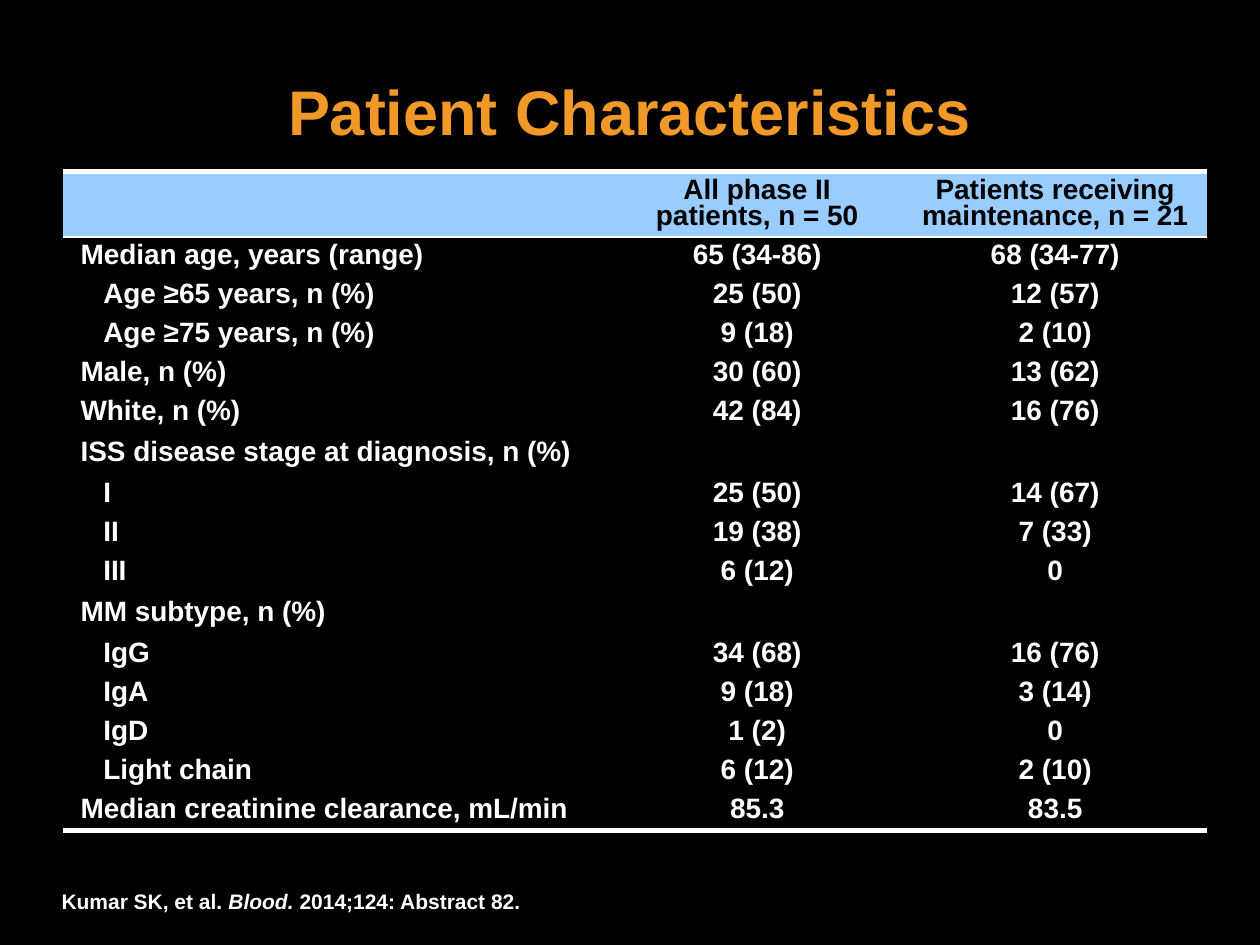
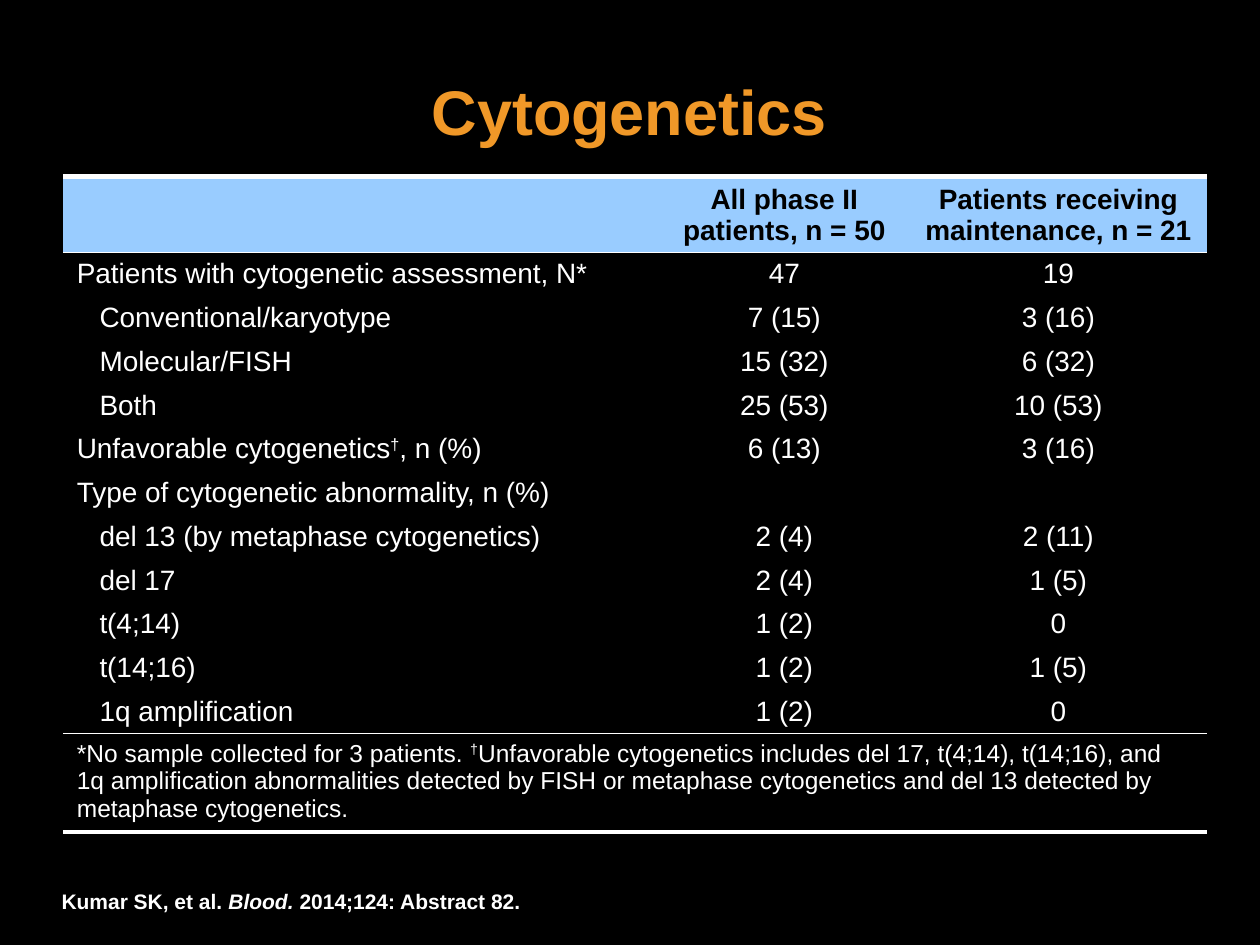
import pptx
import pptx.util
import pptx.dml.color
import pptx.enum.text
import lxml.etree

# ---- Shared content and style ----
WIDE, HIGH = 10, 7.5
FONT = "Arial"
BLACK, WHITE, GOLD, BLUE = "000000", "FFFFFF", "F09828", "99CCFF"
LEFT, INDENT = 0.5, 0.18
THICK, THIN = 3, 1
PLAIN = "{2D5ABB26-0587-4C30-8999-92F81FD0307C}"  # no style, no grid
HEADS = ("", "All phase II patients, n = 50",
         "Patients receiving maintenance, n = 21")
CITE = (("Kumar SK, et al. ", False), ("Blood. ", True),
        ("2014;124: Abstract 82.", False))

# ---- Slide content: (level, label, all patients, maintenance) ----
TRAITS = [
    (0, "Median age, years (range)", "65 (34-86)", "68 (34-77)"),
    (1, "Age ≥65 years, n (%)", "25 (50)", "12 (57)"),
    (1, "Age ≥75 years, n (%)", "9 (18)", "2 (10)"),
    (0, "Male, n (%)", "30 (60)", "13 (62)"),
    (0, "White, n (%)", "42 (84)", "16 (76)"),
    (0, "ISS disease stage at diagnosis, n (%)", "", ""),
    (1, "I", "25 (50)", "14 (67)"),
    (1, "II", "19 (38)", "7 (33)"),
    (1, "III", "6 (12)", "0"),
    (0, "MM subtype, n (%)", "", ""),
    (1, "IgG", "34 (68)", "16 (76)"),
    (1, "IgA", "9 (18)", "3 (14)"),
    (1, "IgD", "1 (2)", "0"),
    (1, "Light chain", "6 (12)", "2 (10)"),
    (0, "Median creatinine clearance, mL/min", "85.3", "83.5"),
]
GENES = [
    (0, "Patients with cytogenetic assessment, N*", "47", "19"),
    (1, "Conventional/karyotype", "7 (15)", "3 (16)"),
    (1, "Molecular/FISH", "15 (32)", "6 (32)"),
    (1, "Both", "25 (53)", "10 (53)"),
    (0, "Unfavorable cytogenetics†, n (%)", "6 (13)", "3 (16)"),
    (0, "Type of cytogenetic abnormality, n (%)", "", ""),
    (1, "del 13 (by metaphase cytogenetics)", "2 (4)", "2 (11)"),
    (1, "del 17", "2 (4)", "1 (5)"),
    (1, "t(4;14)", "1 (2)", "0"),
    (1, "t(14;16)", "1 (2)", "1 (5)"),
    (1, "1q amplification", "1 (2)", "0"),
]
NOTE = ("*No sample collected for 3 patients. †Unfavorable cytogenetics "
        "includes del 17, t(4;14), t(14;16), and 1q amplification "
        "abnormalities detected by FISH or metaphase cytogenetics and "
        "del 13 detected by metaphase cytogenetics.")
GENE_ROW = 3.82 / len(GENES)
SLIDES = [
    dict(title="Patient Characteristics", rows=TRAITS, note="", top=1.36,
         cols=(4.35, 2.32, 2.41), head=0.52, row=0.31, group=0.34,
         inset=0.14, bold=True, lead=0.85),
    dict(title="Cytogenetics", rows=GENES, note=NOTE, top=1.4,
         cols=(4.73, 1.99, 2.36), head=0.59, row=GENE_ROW, group=GENE_ROW,
         inset=0.11, bold=False, lead=1.0),
]

Inch = pptx.util.Inches
Align = pptx.enum.text.PP_ALIGN
Anchor = pptx.enum.text.MSO_ANCHOR


def hue(code):
    return pptx.dml.color.RGBColor.from_string(code)


# ---- Text helpers ----
def style(para, size, color, bold, align=Align.LEFT, lead=None):
    para.alignment = align
    if lead:
        para.line_spacing = lead
    font = para.font
    font.name, font.size, font.bold = FONT, pptx.util.Pt(size), bold
    font.color.rgb = hue(color)


def write(para, text):
    """Add text as runs, raising each dagger."""
    for num, part in enumerate(text.split("†")):
        if num:
            mark = para.add_run()
            mark.text = "†"
            mark.font._element.set("baseline", "30000")
        if part:
            para.add_run().text = part


def add_box(slide, left, top, wide, high):
    return slide.shapes.add_textbox(*map(Inch, (left, top, wide, high))).text_frame


# ---- Table helpers ----
def rule(cell, above, below):
    """Set all four sides ahead of the cell's fill; width 0 means no line."""
    props = cell._tc.get_or_add_tcPr()
    sides = {"lnL": 0, "lnR": 0, "lnT": above, "lnB": below}
    for spot, (tag, width) in enumerate(sides.items()):
        ink = (f'<a:solidFill><a:srgbClr val="{WHITE}"/></a:solidFill>'
               if width else "<a:noFill/>")
        props.insert(spot, lxml.etree.fromstring(
            f'<a:{tag} xmlns:a="http://schemas.openxmlformats.org/drawingml/2006/main"'
            f' w="{pptx.util.Pt(width)}">{ink}</a:{tag}>'))


def add_table(slide, data):
    body, note = data["rows"], data["note"]
    grid = [(0, *HEADS), *body]
    highs = [data["head"]] + [data["row"] if row[2] else data["group"] for row in body]
    if note:
        grid.append((0, note, "", ""))
        highs.append(0.76)
    count = len(grid)
    edges = {0: THICK, 1: THIN, count: THICK}
    if note:
        edges[count - 1] = THIN
    frame = slide.shapes.add_table(
        count, len(HEADS), Inch(LEFT), Inch(data["top"]),
        Inch(sum(data["cols"])), Inch(sum(highs)))
    table = frame.table
    table._tbl.tblPr[0].text = PLAIN
    table.first_row = table.horz_banding = False
    for col, wide in zip(table.columns, data["cols"]):
        col.width = Inch(wide)

    for r, (level, *texts) in enumerate(grid):
        table.rows[r].height = Inch(highs[r])
        head, last = r == 0, bool(note) and r == count - 1
        # top and bottom margins
        pads = (0.02, 0.05) if head else (0.05, 0.03) if last else (0.04, 0.04)
        for c, text in enumerate(texts):
            cell = table.cell(r, c)
            cell.margin_left = cell.margin_right = Inch(data["inset"])
            cell.margin_top, cell.margin_bottom = map(Inch, pads if text else (0, 0))
            cell.vertical_anchor = (Anchor.BOTTOM if head else
                                    Anchor.TOP if last else Anchor.MIDDLE)
            if head:
                cell.fill.solid()
                cell.fill.fore_color.rgb = hue(BLUE)
            else:
                cell.fill.background()
            rule(cell, edges.get(r, 0), edges.get(r + 1, 0))
            para = cell.text_frame.paragraphs[0]
            if c == 0 and level:
                para._p.get_or_add_pPr().set("marL", str(Inch(INDENT)))
            style(para, 14 if last else 16, BLACK if head else WHITE,
                  head or data["bold"], Align.CENTER if c else Align.LEFT,
                  data["lead"])
            write(para, text)
    if note:
        table.cell(count - 1, 0).merge(table.cell(count - 1, len(HEADS) - 1))


# ---- Slide frame: background, title, citation ----
def add_slide(deck, title):
    slide = deck.slides.add_slide(deck.slide_layouts[6])
    fill = slide.background.fill
    fill.solid()
    fill.fore_color.rgb = hue(BLACK)

    box = add_box(slide, LEFT, 0.1, 8.99, 1.12)
    box.word_wrap, box.vertical_anchor = True, Anchor.BOTTOM
    box.margin_left = box.margin_right = Inch(0.04)
    box.margin_top = box.margin_bottom = Inch(0.04)
    style(box.paragraphs[0], 36, GOLD, True, Align.CENTER, 0.85)
    write(box.paragraphs[0], title)
    return slide


def add_cite(slide):
    box = add_box(slide, 0.39, 7, 3.88, 0.3)
    box.word_wrap = False
    para = box.paragraphs[0]
    style(para, 12, WHITE, True)
    for text, slant in CITE:
        run = para.add_run()
        run.text, run.font.italic = text, slant


def main():
    deck = pptx.Presentation()
    deck.slide_width, deck.slide_height = Inch(WIDE), Inch(HIGH)
    for data in SLIDES:
        slide = add_slide(deck, data["title"])
        add_table(slide, data)
        add_cite(slide)
    deck.save("out.pptx")


if __name__ == "__main__":
    main()
